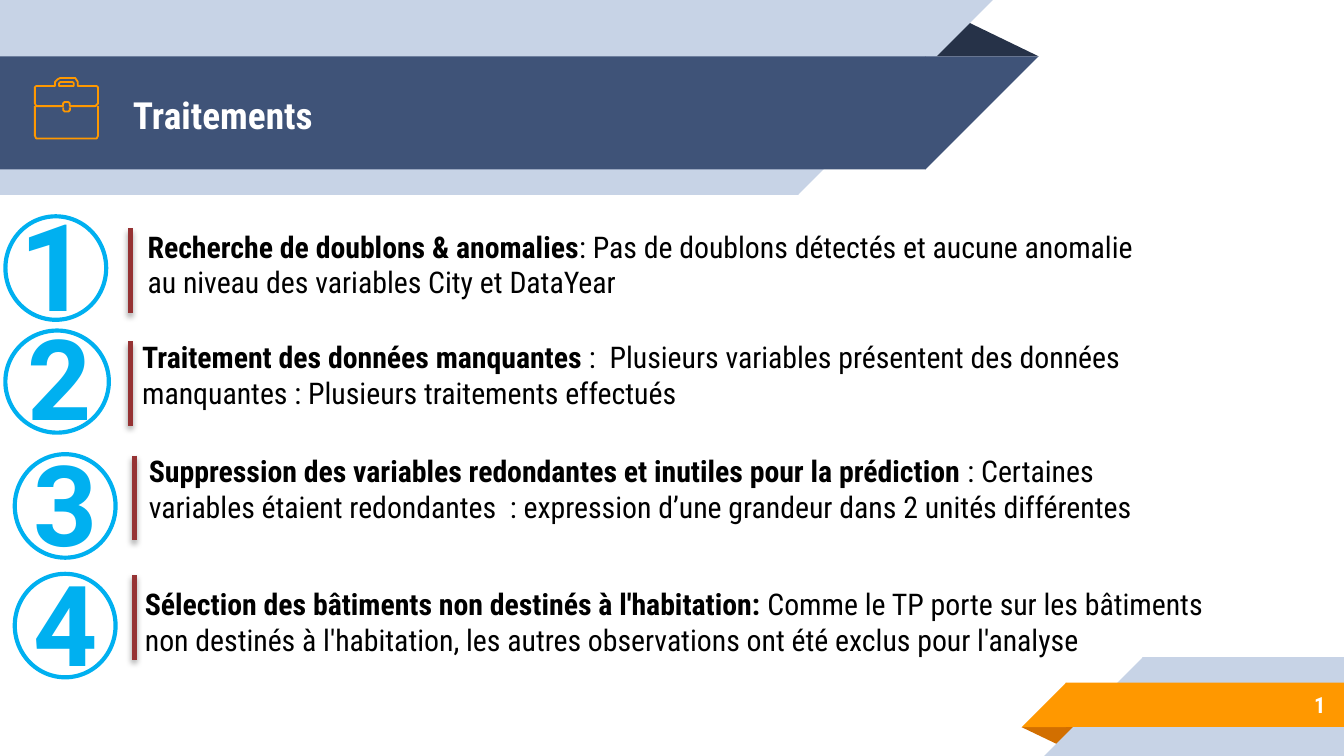
from lxml.etree import SubElement
from pptx import Presentation
from pptx.dml.color import RGBColor
from pptx.enum.shapes import MSO_CONNECTOR as Line, MSO_SHAPE as Shape
from pptx.enum.text import MSO_ANCHOR as Anchor, MSO_AUTO_SIZE as Fit, PP_ALIGN as Align
from pptx.oxml.ns import qn
from pptx.util import Inches, Pt

COLUMNS, ROWS = 1000, 562.5
CELL = Inches(0.01)
SEAM = 0.3
PALE, NAVY, INK = "C7D3E6", "3F5378", "263248"
ORANGE, RUST = "FF9800", "D26F00"
BLUE, RED, WHITE, BLACK = "00B0F0", "963334", "FFFFFF", "000000"
BODY_FONT, DIGIT_FONT = "Roboto Condensed", "Roboto"

LID = [(72, 64), (58, 64), (58, 61), (56, 58), (54, 58), (45, 58), (43, 59), (41, 61),
       (41, 64), (27, 64), (26, 65), (26, 77), (27, 79), (29, 79), (47, 79), (47, 77),
       (48, 76), (51, 76), (52, 77), (52, 79), (71, 79), (73, 77), (73, 65)]
HANDLE = [(55, 64), (44, 64), (44, 62), (45, 61), (54, 61), (55, 62)]
CLASP = [(47, 80), (47, 82), (48, 83), (51, 83), (52, 82), (52, 80)]
CASE = [(26, 79), (26, 101), (27, 103), (72, 103), (73, 101), (73, 79)]

STEPS = [
    dict(heading="Recherche de doublons & anomalies",
         detail=": Pas de doublons détectés et aucune anomalie au niveau des variables City et DataYear",
         text=(89, 165, 773, 64), indent=11, bar=(97, 170),
         ring=(4, 161, 75, 77), digit=(5, 149), size=65),
    dict(heading="Traitement des données manquantes ",
         detail=":  Plusieurs variables présentent des données manquantes : Plusieurs traitements effectués",
         text=(96, 247, 757, 64), indent=0, bar=(97, 254),
         ring=(4, 246, 77, 76), digit=(11, 236), size=60),
    dict(heading="Suppression des variables redondantes et inutiles pour la prédiction ",
         detail=": Certaines variables étaient redondantes  : expression d’une grandeur dans 2 unités différentes",
         text=(90, 332, 816, 64), indent=11, bar=(100, 339),
         ring=(11, 338, 75, 77), digit=(15, 330), size=60),
    dict(heading="Sélection des bâtiments non destinés à l'habitation: ",
         detail="Comme le TP porte sur les bâtiments non destinés à l'habitation, "
                "les autres observations ont été exclus pour l'analyse",
         text=(87, 431, 833, 64), indent=11, bar=(100, 428),
         ring=(11, 427, 75, 77), digit=(15, 419), size=60),
]


def color(code):
    """Turn a hex string into a colour."""
    return RGBColor.from_string(code)


def cells(*values):
    """Turn grid cells into lengths."""
    return [round(CELL * value) for value in values]


class Sheet:
    """Hold the style and the current slide."""

    def __init__(self, deck):
        """Add a blank page to the deck."""
        self.page = deck.slides.add_slide(deck.slide_layouts[6])
        self.shapes = self.page.shapes

    def block(self, kind, at, fill, turn=0):
        """Draw a filled preset shape without an outline."""
        shape = self.shapes.add_shape(kind, *cells(*at))
        shape.shadow.inherit = False
        shape.fill.solid()
        shape.fill.fore_color.rgb = color(fill)
        shape.line.fill.background()
        shape.rotation = turn
        return shape

    def fold(self, at, fill, turn=0):
        """Draw the dark fold of a ribbon."""
        self.block(Shape.ISOSCELES_TRIANGLE, at, fill, turn).adjustments[0] = 0.32

    def ribbon(self, left, top, width, height, fill, slant_right):
        """Draw a band with one slanted end as wide as it is high."""
        self.block(Shape.RECTANGLE, (left, top, width, height), fill)
        corner = left + width - SEAM if slant_right else left - height + SEAM
        turn = 90 if slant_right else 270
        self.block(Shape.RIGHT_TRIANGLE, (corner, top, height, height), fill, turn)

    def outline(self, contours, closed):
        """Draw an unfilled icon part from one or more contours."""
        first, *others = contours
        builder = self.shapes.build_freeform(*first[0], scale=CELL)
        builder.add_line_segments(first[1:], close=closed)
        for contour in others:
            builder.move_to(*contour[0])
            builder.add_line_segments(contour[1:], close=closed)
        self.stroke(builder.convert_to_shape(), ORANGE, 0.96)

    def stroke(self, shape, line, width):
        """Leave a shape with only its outline."""
        shape.shadow.inherit = False
        shape.fill.background()
        shape.line.color.rgb = color(line)
        shape.line.width = Pt(width)

    def ring(self, at):
        """Draw the circle around a step number."""
        circle = self.shapes.add_shape(Shape.FLOWCHART_CONNECTOR, *cells(*at))
        self.stroke(circle, BLUE, 2.25)

    def bar(self, left, top):
        """Draw a vertical rule with a soft shadow."""
        rule = self.shapes.add_connector(Line.STRAIGHT, *cells(left, top, left, top + 63))
        rule.line.color.rgb = color(RED)
        rule.line.width = Pt(3)
        effects = SubElement(rule._element.spPr, qn("a:effectLst"))
        shadow = SubElement(effects, qn("a:outerShdw"), blurRad=str(Pt(3.1)),
                            dist=str(Pt(1.8)), dir="5400000", rotWithShape="0")
        tint = SubElement(shadow, qn("a:srgbClr"), val=BLACK)
        SubElement(tint, qn("a:alpha"), val="35000")

    def text(self, at, bold, plain="", size=16, ink=BLACK, font=BODY_FONT, indent=0):
        """Write a bold span and an optional plain one; return the box."""
        box = self.shapes.add_textbox(*cells(*at))
        box.text_frame.word_wrap = True
        para = box.text_frame.paragraphs[0]
        para.text = bold
        if plain:
            para.add_run().text = plain
        for index, span in enumerate(para.runs):
            span.font.name = font
            span.font.size = Pt(size)
            span.font.bold = index == 0
            span.font.color.rgb = color(ink)
        if indent:
            margins = para._p.get_or_add_pPr()
            margins.set("marL", str(CELL * indent))
            margins.set("indent", "0")
        return box

    def label(self, at, words, size, align=Align.LEFT):
        """Write white text centred on the height of a ribbon."""
        frame = self.text(at, words, size=size, ink=WHITE).text_frame
        frame.vertical_anchor = Anchor.MIDDLE
        frame.margin_top = frame.margin_bottom = CELL * 10
        frame.paragraphs[0].alignment = align

    def step(self, number, heading, detail, text, indent, bar, ring, digit, size):
        """Draw one numbered step."""
        box = self.text(text, heading, detail, indent=indent)
        box.text_frame.auto_size = Fit.SHAPE_TO_FIT_TEXT
        self.bar(*bar)
        self.ring(ring)
        box = self.text((*digit, 73, 71), str(number), size=size, ink=BLUE, font=DIGIT_FONT)
        para = box.text_frame.paragraphs[0]
        para.line_spacing = 0.9
        para.space_before = Pt(10)


def main():
    """Build the slide and save it."""
    deck = Presentation()
    deck.slide_width, deck.slide_height = cells(COLUMNS, ROWS)
    sheet = Sheet(deck)

    sheet.fold((688, 14, 85, 28), INK)
    sheet.ribbon(0, 0, 594, 145, PALE, slant_right=True)
    sheet.ribbon(0, 42, 689, 84, NAVY, slant_right=True)
    sheet.fold((760, 541, 43, 14), RUST, turn=180)
    sheet.ribbon(850, 489, 150, 73.5, PALE, slant_right=False)
    sheet.ribbon(793, 508, 207, 33, ORANGE, slant_right=False)

    sheet.label((89, 43, 601, 84), "Traitements", 20)
    sheet.label((833, 507, 163, 35), "1", 12, Align.RIGHT)

    sheet.outline([LID, HANDLE], closed=True)
    sheet.outline([CLASP], closed=False)
    sheet.outline([CASE], closed=False)

    for number, step in enumerate(STEPS, start=1):
        sheet.step(number, **step)

    deck.save("out.pptx")


if __name__ == "__main__":
    main()
